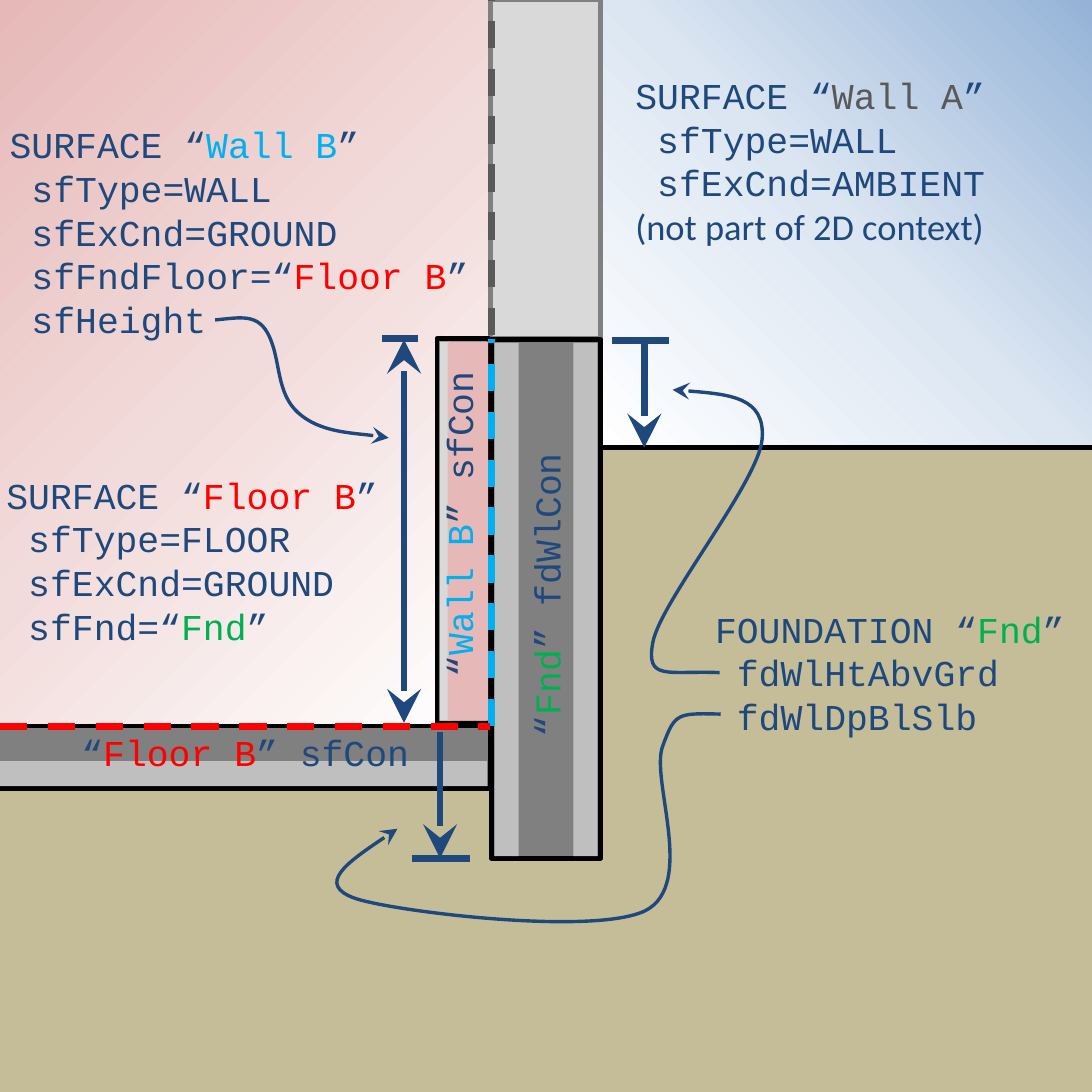
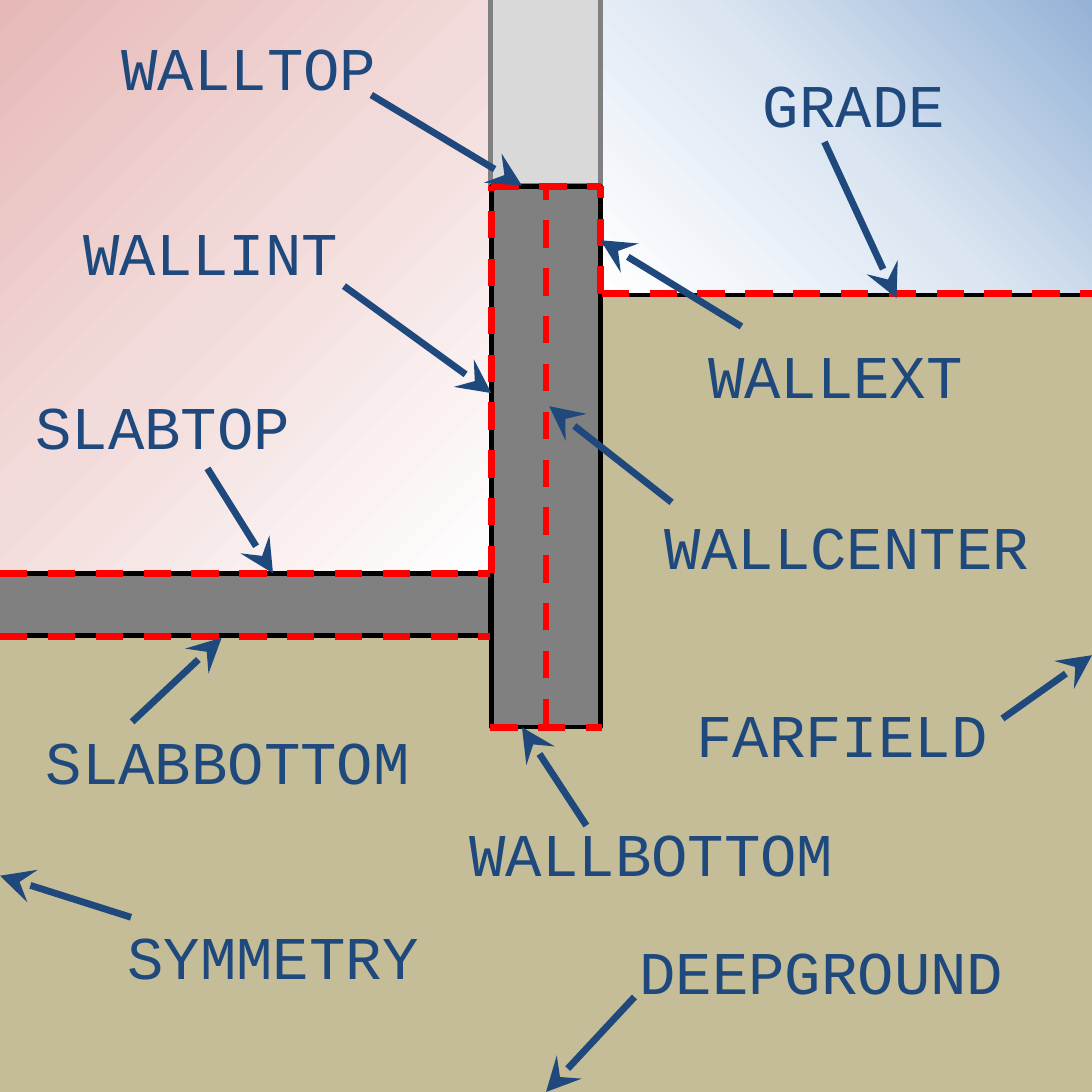
"""Draw two labelled sections of a foundation wall, slab and ground."""
import copy
from dataclasses import dataclass

import pptx
import pptx.util
from pptx.dml.color import RGBColor
from pptx.enum.dml import MSO_LINE
from pptx.enum.shapes import MSO_CONNECTOR, MSO_SHAPE
from pptx.enum.text import MSO_ANCHOR, MSO_AUTO_SIZE, PP_ALIGN
from pptx.oxml.ns import qn
from pptx.oxml.xmlchemy import OxmlElement
from pptx.shapes.base import BaseShape
from pptx.slide import Slide
from pptx.util import Inches


@dataclass(frozen=True)
class Theme:
    ink: str = "1F497D"
    black: str = "000000"
    red: str = "FF0000"
    cyan: str = "00B0F0"
    green: str = "00B050"
    soil: str = "C4BD97"
    pink: str = "E6B9B8"
    dark: str = "595959"
    core: str = "808080"
    skin: str = "BFBFBF"
    pale: str = "D9D9D9"
    sky: tuple[str, ...] = ("95B3D7", "DCE6F2", "FFFFFF")
    room: tuple[str, ...] = ("FFFFFF", "F2DCDB", "E6B9B8")
    mono: str = "Courier New"
    sans: str = "Calibri"
    code: float = 24
    name: float = 40
    edge: float = 3
    bold: float = 4.5
    thin: float = 2.25


THEME = Theme()
HUES = {"Wall A": THEME.dark, "Wall B": THEME.cyan, "Floor B": THEME.red, "Fnd": THEME.green}
HEAD, TAIL = "a:headEnd", "a:tailEnd"
Point = tuple[float, float]


@dataclass(frozen=True)
class Box:
    left: float
    top: float
    width: float
    height: float
    fill: str | tuple[str, ...]
    edge: str | None = None
    angle: float = 0


@dataclass(frozen=True)
class Line:
    start: Point
    end: Point
    color: str = THEME.ink
    tips: tuple[str, ...] = ()
    dash: bool = False
    width: float = THEME.bold


@dataclass(frozen=True)
class Label:
    left: float
    top: float
    width: float
    height: float
    rows: tuple[str, ...]
    size: float = THEME.code
    mid: bool = False
    turn: float = 0
    note: str = ""


@dataclass(frozen=True)
class Curve:
    points: tuple[Point, ...]
    tip: str = HEAD


def rgb(color: str) -> RGBColor:
    return RGBColor.from_string(color)


def blend(shape: BaseShape, colors: tuple[str, ...], angle: float) -> None:
    shape.fill.gradient()
    shape.fill.gradient_angle = 360 - angle
    first = shape._element.spPr.find(".//" + qn("a:gs"))
    first.addnext(copy.deepcopy(first))
    for rank, (stop, color) in enumerate(zip(shape.fill.gradient_stops, colors)):
        stop.position = rank / (len(colors) - 1)
        stop.color.rgb = rgb(color)


def stroke(shape: BaseShape, color: str, width: float, tips: tuple[str, ...] = ()) -> None:
    shape.line.color.rgb = rgb(color)
    shape.line.width = pptx.util.Pt(width)
    for tip in tips:
        end = OxmlElement(tip)
        for key, value in (("type", "stealth"), ("w", "lg"), ("len", "lg")):
            end.set(key, value)
        shape.line._get_or_add_ln().append(end)


def add_box(slide: Slide, box: Box) -> None:
    place = map(Inches, (box.left, box.top, box.width, box.height))
    shape = slide.shapes.add_shape(MSO_SHAPE.RECTANGLE, *place)
    shape.shadow.inherit = False
    if isinstance(box.fill, tuple):
        blend(shape, box.fill, box.angle)
    else:
        shape.fill.solid()
        shape.fill.fore_color.rgb = rgb(box.fill)
    if box.edge:
        stroke(shape, box.edge, THEME.edge)
    else:
        shape.line.fill.background()


def add_line(slide: Slide, line: Line) -> None:
    ends = map(Inches, line.start + line.end)
    shape = slide.shapes.add_connector(MSO_CONNECTOR.STRAIGHT, *ends)
    if line.dash:
        shape.line.dash_style = MSO_LINE.DASH
    stroke(shape, line.color, line.width, line.tips)
    shape._element.spPr.append(OxmlElement("a:effectLst"))


def add_curve(slide: Slide, curve: Curve) -> None:
    first, *rest = [(Inches(x), Inches(y)) for x, y in curve.points]
    pen = slide.shapes.build_freeform(*first)
    pen.add_line_segments(rest, close=False)
    shape = pen.convert_to_shape()
    track = shape._element.spPr.find(".//" + qn("a:path"))
    legs = track.findall(qn("a:lnTo"))
    for rank in range(0, len(legs), 3):
        bend = OxmlElement("a:cubicBezTo")
        legs[rank].addprevious(bend)
        for leg in legs[rank:rank + 3]:
            bend.append(leg[0])
            track.remove(leg)
    shape.shadow.inherit = False
    shape.fill.background()
    stroke(shape, THEME.ink, THEME.thin, (curve.tip,))


def add_label(slide: Slide, label: Label) -> None:
    place = map(Inches, (label.left, label.top, label.width, label.height))
    shape = slide.shapes.add_textbox(*place)
    shape.rotation = label.turn
    frame = shape.text_frame
    frame.word_wrap = True
    frame.auto_size = MSO_AUTO_SIZE.SHAPE_TO_FIT_TEXT
    frame.vertical_anchor = MSO_ANCHOR.MIDDLE
    rows = [(row, THEME.mono) for row in label.rows]
    if label.note:
        rows.append((label.note, THEME.sans))
    for rank, (row, face) in enumerate(rows):
        para = frame.add_paragraph() if rank else frame.paragraphs[0]
        para.alignment = PP_ALIGN.CENTER if label.mid else PP_ALIGN.LEFT
        para.font.name = face
        para.font.size = pptx.util.Pt(label.size)
        para.font.color.rgb = rgb(THEME.ink)
        for piece in row.replace("“", "“|").replace("”", "|”").split("|"):
            run = para.add_run()
            run.text = piece
            if piece in HUES:
                run.font.color.rgb = rgb(HUES[piece])


def add_scene(slide: Slide, grade: float, roof: float, stem: float) -> None:
    floor, sill = grade + 2.55, grade - 1
    add_box(slide, Box(5.5, 0, 4.5, grade, THEME.sky, angle=135))
    add_box(slide, Box(0, grade, 10, 7.3, THEME.soil))
    add_line(slide, Line((5.5, grade), (10, grade), THEME.black, width=THEME.edge))
    add_box(slide, Box(0, 0, 4.5, floor, THEME.room, angle=225))
    add_box(slide, Box(4.49, roof, 1.01, sill - roof, THEME.pale, THEME.core))
    add_box(slide, Box(-1.5, floor, 5.99, 0.57, THEME.core, THEME.black))
    add_box(slide, Box(4.5, sill + 0.01, 1, stem, THEME.core, THEME.black))


def dashed(color: str, *ends: tuple[Point, Point]) -> list[Line]:
    return [Line(start, end, color, dash=True) for start, end in ends]


LAYERS = [
    Box(4, 3.1, 0.48, 3.52, THEME.core, THEME.black),
    Box(4.03, 3.13, 0.09, 3.47, THEME.pale),
    Box(4.1, 3.13, 0.37, 3.47, THEME.pink),
    Box(4.53, 3.14, 0.22, 4.7, THEME.skin),
    Box(5.25, 3.14, 0.22, 4.7, THEME.skin),
    Box(-1.5, 6.97, 5.96, 0.23, THEME.skin),
]

INPUTS = [
    Label(-0.01, 1.06, 4.43, 2.12, (
        "SURFACE “Wall B”", " sfType=WALL", " sfExCnd=GROUND",
        " sfFndFloor=“Floor B”", " sfHeight")),
    Label(-0.04, 4.27, 3.98, 1.72, (
        "SURFACE “Floor B”", " sfType=FLOOR", " sfExCnd=GROUND", " sfFnd=“Fnd”")),
    Label(2.65, 5.2, 4.7, 0.5, ("“Fnd” fdWlCon",), mid=True, turn=270),
    Label(0, 6.64, 4.49, 0.5, ("“Floor B” sfCon",), mid=True),
    Label(5.72, 0.61, 3.68, 1.72, (
        "SURFACE “Wall A”", " sfType=WALL", " sfExCnd=AMBIENT"),
        note="(not part of 2D context)"),
    Label(2.6, 4.55, 3.2, 0.5, ("“Wall B” sfCon",), mid=True, turn=270),
    Label(6.45, 5.5, 3.9, 1.31, ("FOUNDATION “Fnd”", " fdWlHtAbvGrd", " fdWlDpBlSlb")),
]

SPANS = [
    Line((5.9, 4.1), (5.9, 3.11), tips=(HEAD,)),
    Line((5.6, 3.12), (6.13, 3.12)),
    Line((4.03, 7.86), (4.03, 6.7), tips=(HEAD,)),
    Line((3.77, 7.86), (4.3, 7.86)),
    Line((3.5, 3.1), (3.83, 3.1)),
    Line((3.7, 6.62), (3.7, 3.11), tips=(HEAD, TAIL)),
]

CURVES = [
    Curve(((6.16, 3.57), (6.61, 3.6), (7.01, 3.64), (6.98, 4.02), (6.95, 4.41),
           (6.05, 5.51), (5.98, 5.88), (5.91, 6.24), (6.11, 6.14), (6.59, 6.16))),
    Curve(((3.64, 7.59), (3.26, 7.84), (2.88, 8.1), (3.26, 8.23), (3.63, 8.35),
           (5.44, 8.57), (5.91, 8.34), (6.38, 8.1), (5.95, 7.13), (6.07, 6.83),
           (6.18, 6.53), (6.2, 6.53), (6.6, 6.54))),
    Curve(((1.97, 2.93), (2.2, 2.91), (2.37, 2.86), (2.47, 3.09), (2.57, 3.31),
           (2.53, 3.6), (2.73, 3.78), (2.93, 3.96), (3.42, 3.98), (3.56, 4.01)), TAIL),
]

BOUNDS = dashed(
    THEME.red,
    ((4.5, 5.25), (4.5, 1.7)), ((0, 5.25), (4.49, 5.25)), ((5.51, 2.69), (10, 2.69)),
    ((4.5, 1.71), (5.5, 1.71)), ((5.5, 2.69), (5.5, 1.7)), ((5, 6.65), (5, 1.7)),
    ((4.49, 6.66), (5.51, 6.66)), ((0, 5.83), (4.49, 5.83)))

NAMES = [
    ("WALLINT", 0.28, 1.92, 3.3, (3.15, 2.62), (4.5, 3.6)),
    ("GRADE", 5.62, 0.56, 4.4, (7.55, 1.3), (8.21, 2.73)),
    ("SLABTOP", -0.22, 3.51, 3.42, (1.9, 4.29), (2.5, 5.25)),
    ("WALLTOP", 0.58, 0.22, 3.4, (3.4, 0.87), (4.78, 1.7)),
    ("DEEPGROUND", 5.67, 8.5, 3.7, (5.81, 9.13), (5, 10)),
    ("SYMMETRY", 0.8, 8.36, 3.4, (1.2, 8.4), (0, 8.02)),
    ("FARFIELD", 6.01, 6.33, 3.4, (9.18, 6.58), (10, 6)),
    ("WALLEXT", 5.95, 3.04, 3.4, (6.79, 2.99), (5.5, 2.2)),
    ("WALLCENTER", 5.97, 4.61, 3.57, (6.15, 4.6), (5.03, 3.72)),
    ("WALLBOTTOM", 4.18, 7.42, 3.57, (5.37, 7.56), (4.78, 6.66)),
    ("SLABBOTTOM", 0.3, 6.58, 3.57, (1.21, 6.61), (2.03, 5.84)),
]


def draw_inputs(slide: Slide) -> None:
    add_scene(slide, grade=4.1, roof=0, stem=4.75)
    for box in LAYERS:
        add_box(slide, box)
    for color, start, end in (
            (THEME.cyan, (4.5, 6.65), (4.5, 3.1)),
            (THEME.red, (0, 6.65), (4.49, 6.65)),
            (THEME.dark, (4.5, 3.07), (4.5, 0))):
        add_line(slide, Line(start, end, color, dash=True))
    for label in INPUTS:
        add_label(slide, label)
    for span in SPANS:
        add_line(slide, span)
    for curve in CURVES:
        add_curve(slide, curve)


def draw_bounds(slide: Slide) -> None:
    add_scene(slide, grade=2.7, roof=-0.2, stem=4.95)
    for line in BOUNDS:
        add_line(slide, line)
    for name, left, top, width, start, end in NAMES:
        add_label(slide, Label(left, top, width, 0.77, (name,), THEME.name, mid=True))
        add_line(slide, Line(start, end, tips=(TAIL,)))


def main() -> None:
    deck = pptx.Presentation()
    deck.slide_width = deck.slide_height = Inches(10)
    for draw in (draw_inputs, draw_bounds):
        draw(deck.slides.add_slide(deck.slide_layouts[6]))
    deck.save("out.pptx")


if __name__ == "__main__":
    main()
